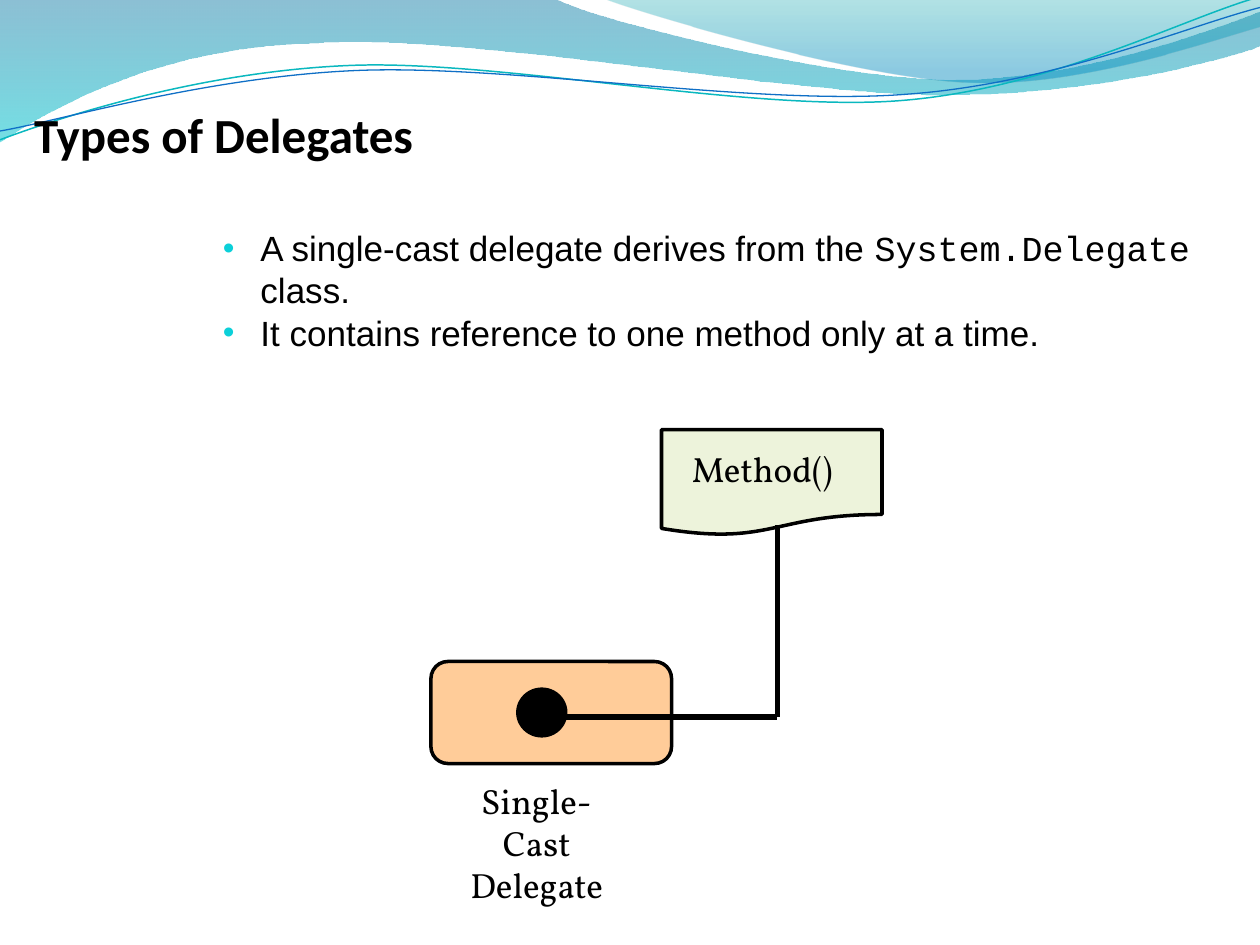
from math import cos, radians, sin

from lxml import etree
from pptx import Presentation
from pptx.dml.color import RGBColor
from pptx.enum.shapes import MSO_CONNECTOR, MSO_SHAPE
from pptx.enum.text import MSO_ANCHOR, PP_ALIGN
from pptx.oxml import parse_xml
from pptx.oxml.ns import nsdecls, qn
from pptx.util import Cm, Pt

LEFT, CENTER = PP_ALIGN.LEFT, PP_ALIGN.CENTER
TOP = MSO_ANCHOR.TOP
STRAIGHT = MSO_CONNECTOR.STRAIGHT
ROUND, OVAL, PAGE = (MSO_SHAPE.ROUNDED_RECTANGLE, MSO_SHAPE.OVAL,
                     MSO_SHAPE.FLOWCHART_DOCUMENT)
BLACK, WHITE = "000000", "FFFFFF"
TILT = -2.7

# Content; all places are in inches
TITLE = ("Types of Delegates", (0.17, 0.78, 9.58, 0.57))
BODY_BOX = (1.67, 1.75, 8, 5)
BULLETS = [
    [("A single-cast delegate derives from the ", "Arial"),
     ("System.Delegate", "Courier New"), (" class.", "Arial")],
    [("It contains reference to one method only at a time.", "Arial")],
]
LABELS = [("Single-Cast Delegate", (3.5, 6.14, 1.52, 0.77)),
          ("Method()", (5.25, 3.5, 1.6, 0.44))]
NODES = [(ROUND, (3.42, 5.25, 1.91, 0.81), "FFCC99"),
         (OVAL, (4.11, 5.47, 0.38, 0.37), BLACK),
         (PAGE, (5.25, 3.41, 1.75, 0.84), "EDF3DB")]
LINKS = [(4.41, 5.69, 6.17, 5.69), (6.17, 4.17, 6.17, 5.69)]

# Waves: a start point, then points (2 numbers) or curves (6 numbers)
BANDS = [
    ([(0, 0), (4.4, -0.01), (4.76, 0.17, 6.64, 0.63, 7.58, 0.63),
      (8.53, 0.63, 9.58, 0.26, 10, 0.09), (10.01, 0.36),
      (9.83, 0.44, 8.7, 0.76, 7.46, 0.75),
      (6.22, 0.75, 3.82, 0.28, 2.57, 0.34),
      (1.29, 0.36, 0.46, 0.83, -0.01, 1.13)],
     [(0, "0074A1", 45), (100, "00C6CF", 55)]),
    ([(4.79, -0.01), (5.09, 0.11, 6.82, 0.62, 7.69, 0.65),
      (8.56, 0.69, 9.61, 0.32, 10, 0.21), (10, 0)],
     [(0, "00A1A9", 30), (80, "008BBF", 45)]),
]
CURVES = [
    ([(0, 1.11), (0.48, 0.93, 1.58, 0.57, 2.77, 0.52),
      (3.95, 0.47, 5.93, 0.89, 7.13, 0.8),
      (8.33, 0.71, 9.38, 0.15, 9.98, -0.02)], "0AB8BF", 0.85),
    ([(0, 1.04), (0.47, 0.96, 1.64, 0.61, 2.83, 0.56),
      (4.03, 0.51, 5.97, 0.84, 7.17, 0.75),
      (8.36, 0.67, 9.41, 0.21, 10, 0.06)], "0F6FC6", 0.75),
]


def rgb(code):
    return RGBColor.from_string(code)


def emu(nums):
    return [Cm(n * 2.54) for n in nums]


def turn(x, y, angle):
    a = radians(angle)
    return x * cos(a) - y * sin(a), x * sin(a) + y * cos(a)


def draw(segs, close, tilt=0):
    """Draw lines and cubic curves, in a frame tilted by some degrees."""
    pts = [emu(turn(*seg[i:i + 2], -tilt))
           for seg in segs for i in range(0, len(seg), 2)]
    pen = shapes.build_freeform(*pts[0])
    pen.add_line_segments(pts[1:], close=close)
    wave = pen.convert_to_shape()
    steps = iter(list(wave._element.iter(qn("a:lnTo"))))
    for seg in segs[1:]:
        first = next(steps)
        if len(seg) == 6:
            first.tag = qn("a:cubicBezTo")
            for _ in range(2):
                step = next(steps)
                first.append(step[0])
                step.getparent().remove(step)
    half, rise = wave.width / 2, wave.height / 2
    x, y = turn(wave.left + half, wave.top + rise, tilt)
    wave.left, wave.top = round(x - half), round(y - rise)
    wave.rotation = tilt
    wave.shadow.inherit = False
    wave.fill.background()
    return wave


def fade(shape, stops):
    items = "".join(
        f'<a:gs pos="{pos * 1000}"><a:srgbClr val="{hue}">'
        f'<a:alpha val="{alpha * 1000}"/></a:srgbClr></a:gs>'
        for pos, hue, alpha in stops)
    old = shape._element.spPr.find(qn("a:noFill"))
    old.getparent().replace(old, parse_xml(
        f'<a:gradFill {nsdecls("a")} rotWithShape="1"><a:gsLst>{items}'
        '</a:gsLst><a:lin ang="5400000" scaled="0"/></a:gradFill>'))


def edge(line, hue, width):
    line.color.rgb = rgb(hue)
    line.width = Pt(width)


def style(run, size, font, bold=False):
    run.font.size = Pt(size)
    run.font.name = font
    run.font.bold = bold
    run.font.color.rgb = rgb(BLACK)


def dot(para):
    props = para._p.get_or_add_pPr()
    props.set("marL", str(Cm(0.76)))
    props.set("indent", str(-Cm(0.76)))
    hue = etree.SubElement(props, qn("a:buClr"))
    etree.SubElement(hue, qn("a:srgbClr"), val="0BD0D9")
    etree.SubElement(props, qn("a:buSzPct"), val="95000")
    etree.SubElement(props, qn("a:buFont"), typeface="Arial")
    etree.SubElement(props, qn("a:buChar"), char="•")


deck = Presentation()
deck.slide_width, deck.slide_height = emu((10, 7.5))
slide = deck.slides.add_slide(deck.slide_layouts[5])
shapes = slide.shapes

# Waves at the top
for segs, stops in BANDS:
    band = draw(segs, True)
    band.line.fill.background()
    fade(band, stops)
for segs, hue, width in CURVES:
    edge(draw(segs, False, TILT).line, hue, width)

# Bullets
body = shapes.add_textbox(*emu(BODY_BOX))
body.fill.solid()
body.fill.fore_color.rgb = rgb(WHITE)
frame = body.text_frame
frame.word_wrap = True
for i, parts in enumerate(BULLETS):
    para = frame.add_paragraph() if i else frame.paragraphs[0]
    para.space_before = Pt(0.4)
    dot(para)
    for text, font in parts:
        run = para.add_run()
        run.text = text
        style(run, 20, font)

# Title, in front of the waves
title = shapes.title
title.left, title.top, title.width, title.height = emu(TITLE[1])
title.text_frame.text = TITLE[0]
title.text_frame.vertical_anchor = TOP
head = title.text_frame.paragraphs[0]
head.alignment = LEFT
style(head.runs[0], 28, "Calibri", True)
shapes._spTree.append(title._element)

# Diagram
for kind, box, hue in NODES:
    node = shapes.add_shape(kind, *emu(box))
    node.shadow.inherit = False
    node.fill.solid()
    node.fill.fore_color.rgb = rgb(hue)
    edge(node.line, BLACK, 2)
for ends in LINKS:
    link = shapes.add_connector(STRAIGHT, *emu(ends))
    edge(link.line, BLACK, 3)
    etree.SubElement(link._element.spPr, qn("a:effectLst"))
for text, box in LABELS:
    label = shapes.add_textbox(*emu(box)).text_frame
    label.word_wrap = True
    label.text = text
    label.paragraphs[0].alignment = CENTER
    style(label.paragraphs[0].runs[0], 20, "Vollkorn")

deck.save("out.pptx")
